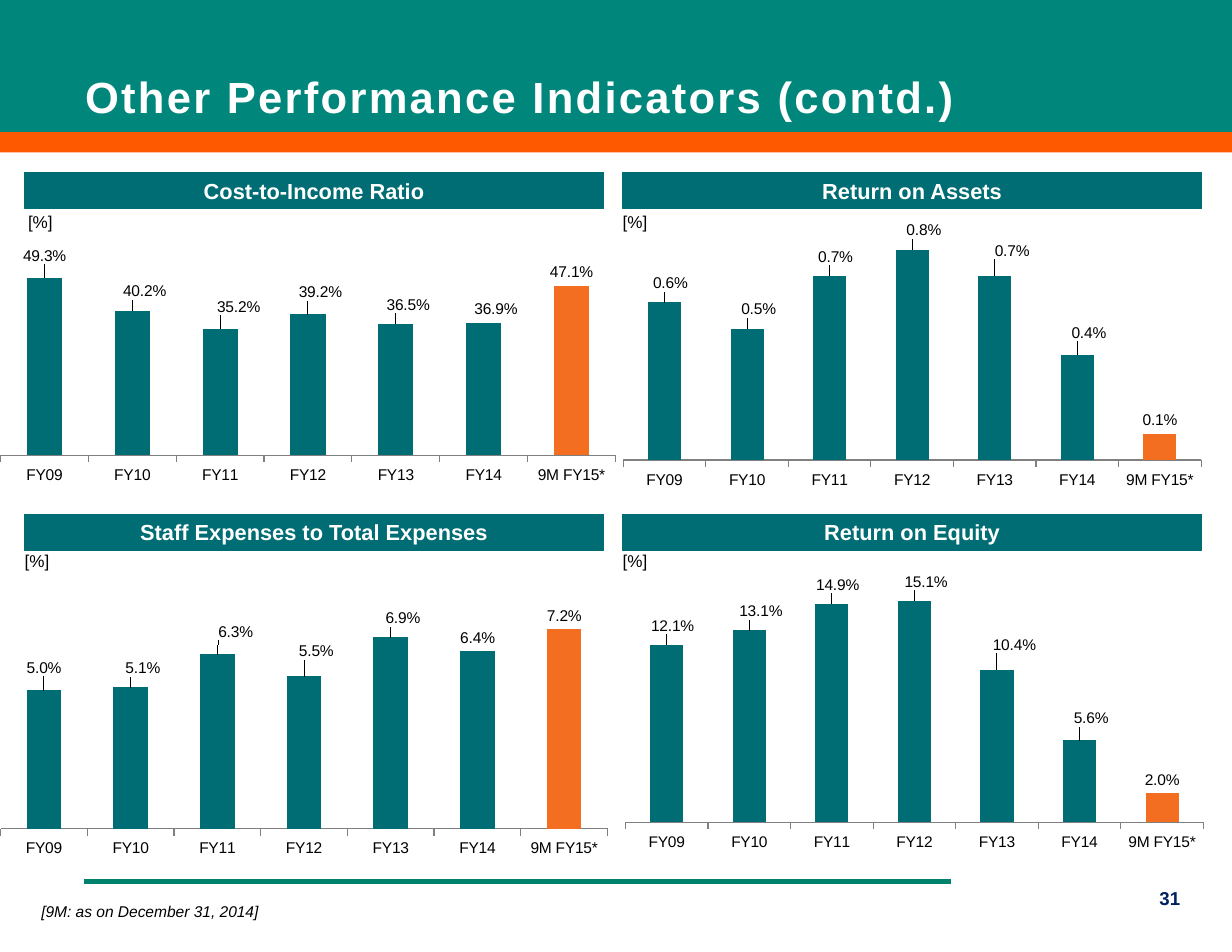
from dataclasses import dataclass

import pptx
import pptx.chart.data
import pptx.dml.color
import pptx.enum.chart
import pptx.enum.shapes
import pptx.enum.text
import pptx.oxml
import pptx.oxml.ns
import pptx.util
from pptx.util import Inches

FONT = "Arial"
COLORS = {
    "band": "00867B", "stripe": "FF5900", "rule": "00826C", "teal": "006D75",
    "orange": "F36E20", "axis": "808080", "black": "000000", "white": "FFFFFF",
    "navy": "002060",
}
YEARS = ["FY09", "FY10", "FY11", "FY12", "FY13", "FY14", "9M FY15*"]
ALIGN = pptx.enum.text.PP_ALIGN
ANCHOR = pptx.enum.text.MSO_ANCHOR
NAMESPACE = pptx.oxml.ns.nsdecls("c")


@dataclass
class Box:
    left: float
    top: float
    width: float
    height: float

    def lengths(self):
        return [Inches(v) for v in (self.left, self.top, self.width, self.height)]


@dataclass
class Panel:
    title: str
    header: Box
    unit_left: float
    chart: Box
    plot_top: float
    plot_height: float
    plot_width: float
    values: list[float]
    maximum: float
    number_format: str
    label_shifts: list[tuple[float, float]]


PERCENT = '0.0"%"'
LEFT, RIGHT = 0.22, 5.56
UPPER, LOWER = 1.54, 4.59
HEADER_WIDTH, HEADER_HEIGHT, CHART_HEIGHT = 5.17, 0.32, 2.61
RIGHT_SHIFTS = [(0.01, -0.02), (0.02, -0.02), (0.01, -0.02),
                (0.02, -0.02), (0.03, -0.04), (0.02, -0.03)]


def header_box(left: float, top: float) -> Box:
    return Box(left, top, HEADER_WIDTH, HEADER_HEIGHT)


PANELS = [
    Panel("Cost-to-Income Ratio", header_box(LEFT, UPPER), 0.25,
          Box(0, 1.98, 5.5, CHART_HEIGHT), 0.06, 0.74, 1,
          [49.3, 40.2, 35.2, 39.2, 36.5, 36.9, 47.1], 60, PERCENT,
          [(0, -0.03), (0.02, -0.02), (0.03, -0.03),
           (0.02, -0.03), (0.02, -0.02), (0.02, 0)]),
    Panel("Return on Assets", header_box(RIGHT, UPPER), RIGHT,
          Box(RIGHT, 1.89, 5.17, CHART_HEIGHT), 0.04, 0.81, 1,
          [0.6, 0.5, 0.7, 0.8, 0.7, 0.4, 0.1], 0.9, PERCENT, RIGHT_SHIFTS),
    Panel("Staff Expenses to Total Expenses", header_box(LEFT, LOWER), LEFT,
          Box(0, 5.34, 5.43, CHART_HEIGHT), 0.03, 0.76, 1,
          [0.05, 0.051, 0.063, 0.055, 0.069, 0.064, 0.072], 0.08, "0.0%",
          [(0, -0.03), (0.02, -0.02), (0.03, -0.03), (0.02, -0.04), (0.02, -0.02)]),
    Panel("Return on Equity", header_box(RIGHT, LOWER), RIGHT,
          Box(5.58, 5.12, 5.17, CHART_HEIGHT), 0.04, 0.81, 1,
          [12.1, 13.1, 14.9, 15.1, 10.4, 5.6, 2.0], 16, PERCENT, RIGHT_SHIFTS),
]


def rgb(name: str):
    return pptx.dml.color.RGBColor.from_string(COLORS[name])


def write(shape, text: str, size: float, color: str, bold=False, italic=False,
          align=ALIGN.LEFT, anchor=ANCHOR.TOP, insets=(0, 0, 0, 0), wrap=True):
    frame = shape.text_frame
    frame.word_wrap = wrap
    frame.vertical_anchor = anchor
    (frame.margin_left, frame.margin_top,
     frame.margin_right, frame.margin_bottom) = [Inches(v) for v in insets]
    paragraph = frame.paragraphs[0]
    paragraph.text = text
    paragraph.alignment = align
    font = paragraph.font
    font.name, font.size, font.bold, font.italic = FONT, pptx.util.Pt(size), bold, italic
    font.color.rgb = rgb(color)
    return paragraph


def add_text(slide, box: Box, text: str, size: float, color: str, **style):
    return write(slide.shapes.add_textbox(*box.lengths()), text, size, color, **style)


def add_bar(slide, box: Box, color: str):
    shape = slide.shapes.add_shape(pptx.enum.shapes.MSO_SHAPE.RECTANGLE, *box.lengths())
    shape.shadow.inherit = False
    shape.fill.solid()
    shape.fill.fore_color.rgb = rgb(color)
    shape.line.fill.background()
    return shape


def add_rule(slide, left: float, right: float, top: float):
    line = slide.shapes.add_connector(
        pptx.enum.shapes.MSO_CONNECTOR.STRAIGHT,
        Inches(left), Inches(top), Inches(right), Inches(top))
    line.line.color.rgb = rgb("rule")
    line.line.width = pptx.util.Pt(3)
    line._element.spPr.append(pptx.oxml.parse_xml(
        f'<a:effectLst {pptx.oxml.ns.nsdecls("a")}/>'))


def manual_layout(**settings):
    parts = "".join(f'<c:{key} val="{value}"/>' for key, value in settings.items())
    return pptx.oxml.parse_xml(
        f"<c:layout {NAMESPACE}><c:manualLayout>{parts}</c:manualLayout></c:layout>")


def shift_labels(series, panel: Panel):
    position = pptx.enum.chart.XL_LABEL_POSITION.OUTSIDE_END
    for index, _ in enumerate(panel.label_shifts):
        series.points[index].data_label.position = position
    labels = series._element.xpath("c:dLbls/c:dLbl")
    for label, (x, y) in zip(labels, panel.label_shifts):
        number_format = pptx.oxml.parse_xml(f'<c:numFmt {NAMESPACE} sourceLinked="0"/>')
        number_format.set("formatCode", panel.number_format)
        label.insert(1, manual_layout(x=x, y=y))
        label.insert(2, number_format)


def add_column_chart(slide, panel: Panel):
    data = pptx.chart.data.CategoryChartData()
    data.categories = YEARS
    data.add_series(panel.title, panel.values)
    chart = slide.shapes.add_chart(
        pptx.enum.chart.XL_CHART_TYPE.COLUMN_CLUSTERED, *panel.chart.lengths(), data).chart
    chart.has_legend = chart.has_title = False
    chart.font.name, chart.font.size = FONT, pptx.util.Pt(10)
    chart.font.color.rgb = rgb("black")

    tick = pptx.enum.chart.XL_TICK_MARK
    category_axis, value_axis = chart.category_axis, chart.value_axis
    category_axis.major_tick_mark = tick.OUTSIDE
    category_axis.format.line.color.rgb = rgb("axis")
    value_axis.minimum_scale, value_axis.maximum_scale = 0, panel.maximum
    value_axis.has_major_gridlines = False
    value_axis.major_tick_mark = tick.NONE
    value_axis.tick_label_position = pptx.enum.chart.XL_TICK_LABEL_POSITION.NONE
    value_axis.format.line.fill.background()

    plot = chart.plots[0]
    plot.vary_by_categories = False
    plot.gap_width = 150
    series = plot.series[0]
    series.format.fill.solid()
    series.format.fill.fore_color.rgb = rgb("teal")
    latest = series.points[len(YEARS) - 1].format.fill
    latest.solid()
    latest.fore_color.rgb = rgb("orange")

    labels = series.data_labels
    labels.show_value = True
    labels.number_format, labels.number_format_is_linked = panel.number_format, False
    labels.position = pptx.enum.chart.XL_LABEL_POSITION.OUTSIDE_END
    shift_labels(series, panel)

    plot_area = chart._chartSpace.xpath("c:chart/c:plotArea")[0]
    for layout in plot_area.xpath("c:layout"):
        plot_area.remove(layout)
    plot_area.insert(0, manual_layout(
        layoutTarget="inner", xMode="edge", yMode="edge", x=0, y=panel.plot_top,
        w=panel.plot_width, h=panel.plot_height))


def add_panel(slide, panel: Panel):
    header = add_bar(slide, panel.header, "teal")
    header.line.color.rgb = rgb("teal")
    header.line.width = pptx.util.Pt(0.5)
    write(header, panel.title, 14, "white", bold=True, align=ALIGN.CENTER,
          anchor=ANCHOR.MIDDLE, insets=(0, 0.02, 0, 0.02))
    add_column_chart(slide, panel)
    unit_top = 1.89 if panel.header.top == UPPER else 4.91
    add_text(slide, Box(panel.unit_left, unit_top, 0.98, 0.19), "[%]", 11, "black")


def main():
    presentation = pptx.Presentation()
    presentation.slide_width, presentation.slide_height = Inches(11), Inches(8.5)
    slide = presentation.slides.add_slide(presentation.slide_layouts[6])
    add_bar(slide, Box(0, -0.02, 11, 1.2), "band")
    add_bar(slide, Box(0, 1.18, 11, 0.18), "stripe")
    add_rule(slide, 0.75, 8.49, 7.87)
    title = add_text(slide, Box(0.76, 0.44, 9.61, 0.71),
                     "Other Performance Indicators (contd.)", 28, "white", bold=True,
                     anchor=ANCHOR.BOTTOM, insets=(0, 0.06, 0, 0.06))
    title.line_spacing = 0.8
    title.runs[0].font._element.set("spc", "150")
    for panel in PANELS:
        add_panel(slide, panel)
    add_text(slide, Box(0.27, 8, 2.15, 0.27), "[9M: as on December 31, 2014]", 10, "black",
             italic=True, insets=(0.1, 0.05, 0.1, 0.05), wrap=False)
    add_text(slide, Box(10.22, 7.92, 0.47, 0.28), "31", 12, "navy", bold=True,
             align=ALIGN.CENTER, insets=(0, 0, 0.02, 0.02))
    presentation.save("out.pptx")


if __name__ == "__main__":
    main()
